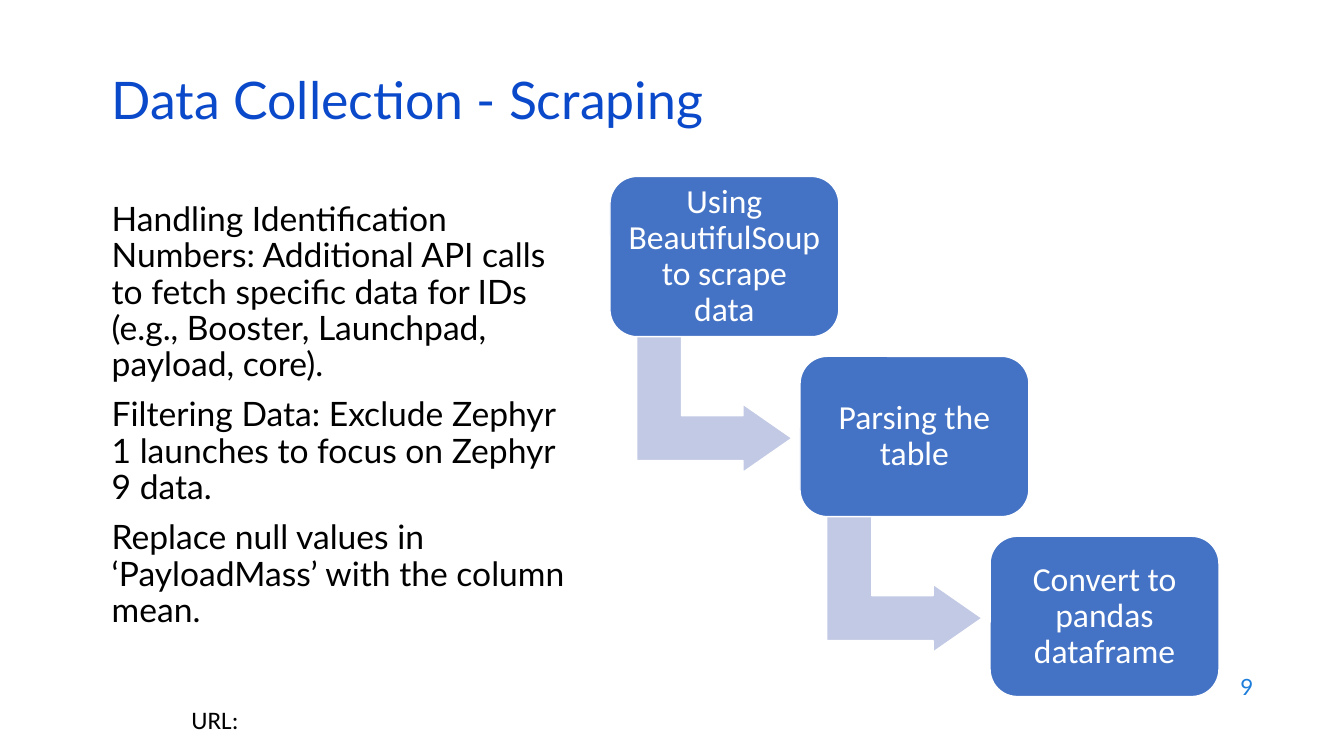
from pptx import Presentation
from pptx.dml.color import RGBColor
from pptx.enum.shapes import MSO_SHAPE
from pptx.enum.text import MSO_ANCHOR, PP_ALIGN
from pptx.util import Inches, Pt

TITLE_BLUE = RGBColor(0x0B, 0x49, 0xCB)
NUMBER_BLUE = RGBColor(0x1C, 0x7D, 0xDB)
STEP_BLUE = RGBColor(0x44, 0x72, 0xC4)
ARROW_BLUE = RGBColor(0xC1, 0xC9, 0xE4)
WHITE = RGBColor(0xFF, 0xFF, 0xFF)
BLACK = RGBColor(0x00, 0x00, 0x00)

LEFT, CENTER, RIGHT = PP_ALIGN.LEFT, PP_ALIGN.CENTER, PP_ALIGN.RIGHT
TOP, MIDDLE = MSO_ANCHOR.TOP, MSO_ANCHOR.MIDDLE
ROUNDED, BENT_ARROW = MSO_SHAPE.ROUNDED_RECTANGLE, MSO_SHAPE.BENT_UP_ARROW

NOTES = [
    "Handling Identification Numbers: Additional API calls to fetch specific "
    "data for IDs (e.g., Booster, Launchpad, payload, core).",
    "Filtering Data: Exclude Zephyr 1 launches to focus on Zephyr 9 data.",
    "Replace null values in ‘PayloadMass’ with the column mean.",
]
STEPS = [
    "Using BeautifulSoup to scrape data",
    "Parsing the table",
    "Convert to pandas dataframe",
]

# Staircase geometry in inches
FIRST_X, FIRST_Y = 6.05, 1.75
STEP_RIGHT, STEP_DOWN = 1.885, 1.785
ARROW_RIGHT, ARROW_DOWN = 0.36, 1.49


def write(frame, lines, size, font_name, color, align=LEFT, anchor=TOP,
          line_spacing=1.0, gap=0):
    """Fill a text frame with one paragraph per line; gap separates them."""
    frame.word_wrap = True
    frame.vertical_anchor = anchor
    frame.text = "\n".join(lines)
    for index, paragraph in enumerate(frame.paragraphs):
        paragraph.alignment = align
        paragraph.line_spacing = line_spacing
        paragraph.space_before = Pt(gap if index else 0)
        for run in paragraph.runs:
            run.font.size = Pt(size)
            run.font.name = font_name
            run.font.color.rgb = color


def add_title(slide, text):
    title = slide.shapes.title
    title.left, title.top = Inches(1.01), Inches(0.76)
    title.width, title.height = Inches(11.5), Inches(0.6)
    write(title.text_frame, [text], 37, "Lato", TITLE_BLUE,
          anchor=MIDDLE, line_spacing=0.7)


def add_text(slide, x, y, width, height, lines, *style, **layout):
    box = slide.shapes.add_textbox(
        Inches(x), Inches(y), Inches(width), Inches(height))
    write(box.text_frame, lines, *style, **layout)
    return box


def add_block(slide, preset, x, y, width, height, fill, adjustments):
    block = slide.shapes.add_shape(
        preset, Inches(x), Inches(y), Inches(width), Inches(height))
    block.shadow.inherit = False
    block.fill.solid()
    block.fill.fore_color.rgb = fill
    block.line.color.rgb = WHITE
    block.line.width = Pt(1)
    for index, value in enumerate(adjustments):
        block.adjustments[index] = value
    return block


def add_staircase(slide, steps):
    """Steps going down to the right, each joined to the next by an arrow."""
    for index, label in enumerate(steps):
        x = FIRST_X + index * STEP_RIGHT
        y = FIRST_Y + index * STEP_DOWN
        if index < len(steps) - 1:
            arrow = add_block(slide, BENT_ARROW, x + ARROW_RIGHT,
                              y + ARROW_DOWN, 1.35, 1.54, ARROW_BLUE,
                              [0.33, 0.25, 0.36])
            arrow.rotation = 90
        step = add_block(slide, ROUNDED, x, y, 2.27, 1.59, STEP_BLUE, [0.17])
        frame = step.text_frame
        frame.margin_left = frame.margin_right = Inches(0.1)
        frame.margin_top = frame.margin_bottom = Inches(0.1)
        write(frame, [label], 24, "Calibri", WHITE, align=CENTER,
              anchor=MIDDLE, line_spacing=0.9)


def main():
    prs = Presentation()
    prs.slide_width, prs.slide_height = Inches(13.33), Inches(7.5)
    slide = prs.slides.add_slide(prs.slide_layouts[5])

    add_title(slide, "Data Collection - Scraping")
    add_text(slide, 9.53, 6.59, 3, 0.44, ["9"], 16, "Lato", NUMBER_BLUE,
             align=RIGHT, anchor=MIDDLE)
    add_text(slide, 1.01, 1.96, 4.76, 4.95, NOTES, 24, "Lato", BLACK,
             line_spacing=0.9, gap=10)
    add_staircase(slide, STEPS)
    url_label = add_text(slide, 1.8, 6.94, 0.73, 0.4, ["URL:"],
                         18, "Calibri", BLACK)
    url_label.text_frame.word_wrap = False

    prs.save("out.pptx")


if __name__ == "__main__":
    main()
